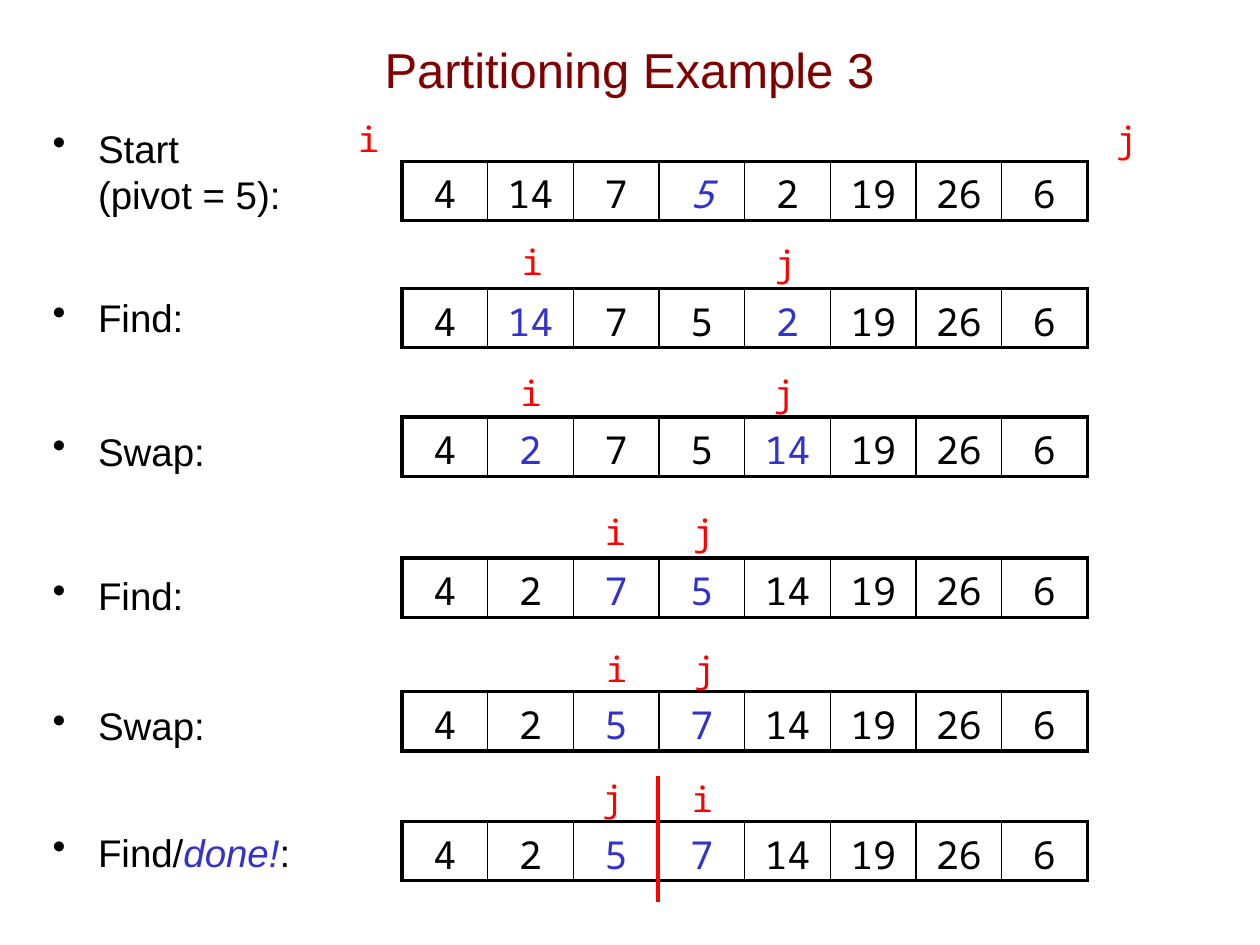
import lxml.etree
import pptx
import pptx.dml.color
import pptx.enum.shapes
import pptx.enum.text
import pptx.oxml.ns
import pptx.util

Inches, Pt = pptx.util.Inches, pptx.util.Pt
qn = pptx.oxml.ns.qn
CENTER = pptx.enum.text.PP_ALIGN.CENTER

COLORS = {"title": "800000", "text": "000000", "active": "3333CC", "index": "FF0000"}
SANS, MONO = "Arial", "Noto Sans Mono"


class PartitionSlide:
    """Style and drawing methods for the slide being built."""

    cell_width, row_height = 0.68, 0.47
    thick, thin = 2.25, 1

    def __init__(self, slide):
        self.slide = slide

    def style(self, font, size, color, name):
        font.size, font.name = Pt(size), name
        self.paint(font, color)

    def paint(self, font, color):
        font.color.rgb = pptx.dml.color.RGBColor.from_string(COLORS[color])

    def solid(self, parent, color):
        fill = lxml.etree.SubElement(parent, qn("a:solidFill"))
        lxml.etree.SubElement(fill, qn("a:srgbClr"), val=COLORS[color])

    def box(self, left, top, width, height, wrap=True):
        frame = self.slide.shapes.add_textbox(
            Inches(left), Inches(top), Inches(width), Inches(height)).text_frame
        frame.word_wrap = wrap
        return frame

    def title(self, text):
        frame = self.box(0.75, 0.08, 8.49, 0.93)
        frame.vertical_anchor = pptx.enum.text.MSO_ANCHOR.MIDDLE
        heading = frame.paragraphs[0]
        heading.text, heading.alignment = text, CENTER
        self.style(heading.font, 28, "title", SANS)

    def steps(self, items):
        """Bulleted steps; each item is (space before, [(text, color)])."""
        frame = self.box(0.32, 0.94, 9.54, 6.14)
        for number, (gap, pieces) in enumerate(items):
            step = frame.paragraphs[0] if number == 0 else frame.add_paragraph()
            props = step._p.get_or_add_pPr()
            props.set("marL", str(Inches(0.36)))
            props.set("indent", str(-Inches(0.36)))
            bullet_color = lxml.etree.SubElement(props, qn("a:buClr"))
            lxml.etree.SubElement(bullet_color, qn("a:srgbClr"), val=COLORS["text"])
            lxml.etree.SubElement(props, qn("a:buChar"), char="•")
            step.line_spacing = Pt(26.4)
            if gap:
                step.space_before = Pt(gap)
            self.style(step.font, 22, "text", SANS)
            for text, color in pieces:
                for index, line in enumerate(text.split("\n")):
                    if index:
                        step.add_line_break()
                    run = step.add_run()
                    run.text = line
                    if color == "active":
                        run.font.italic = True
                        self.paint(run.font, color)

    def border(self, cell, side, width):
        line = lxml.etree.SubElement(
            cell._tc.get_or_add_tcPr(), qn(f"a:ln{side}"), w=str(Pt(width)))
        self.solid(line, "text")

    def array(self, top, values, active, bottom_margin, italic):
        last = len(values) - 1
        table = self.slide.shapes.add_table(
            1, len(values), Inches(3.19), Inches(top),
            Inches(self.cell_width * len(values)), Inches(self.row_height)).table
        table.first_row = table.horz_banding = False
        for column, value in enumerate(values):
            table.columns[column].width = Inches(self.cell_width)
            cell = table.cell(0, column)
            cell.margin_bottom = Inches(bottom_margin)
            self.border(cell, "L", self.thick if column == 0 else self.thin)
            self.border(cell, "R", self.thick if column == last else self.thin)
            self.border(cell, "T", self.thick)
            self.border(cell, "B", self.thick)
            cell.fill.background()
            number = cell.text_frame.paragraphs[0]
            number.text, number.alignment = str(value), CENTER
            self.style(number.font, 22, "active" if column in active else "text", MONO)
            if italic and column in active:
                number.font.italic = True

    def index(self, name, left, top):
        frame = self.box(left, top, 0.37, 0.43, wrap=False)
        frame.auto_size = pptx.enum.text.MSO_AUTO_SIZE.SHAPE_TO_FIT_TEXT
        label = frame.paragraphs[0]
        label.text, label.alignment = name, CENTER
        self.style(label.font, 20, "index", MONO)

    def divider(self, x, top, bottom):
        split = self.slide.shapes.add_connector(
            pptx.enum.shapes.MSO_CONNECTOR.STRAIGHT,
            Inches(x), Inches(bottom), Inches(x), Inches(top))
        split.line.width = Pt(self.thick)
        self.paint(split.line, "index")
        lxml.etree.SubElement(split._element.spPr, qn("a:effectLst"))


STEPS = [
    (0, [("Start\n(pivot = 5):", "text")]),
    (44, [("Find:", "text")]),
    (50, [("Swap:", "text")]),
    (56, [("Find:", "text")]),
    (48, [("Swap:", "text")]),
    (46, [("Find/", "text"), ("done!", "active"), (":", "text")]),
]

# Array top, first five values, highlighted columns, bottom margin, i and j places
TAIL = [19, 26, 6]
STAGES = [
    (1.28, [4, 14, 7, 5, 2], {3}, 0.05, (2.74, 0.88), (8.76, 0.88)),
    (2.29, [4, 14, 7, 5, 2], {1, 4}, 0.05, (4.04, 1.86), (6.05, 1.87)),
    (3.31, [4, 2, 7, 5, 14], {1, 4}, 0, (4.03, 2.9), (6.04, 2.9)),
    (4.43, [4, 2, 7, 5, 14], {2, 3}, 0, (4.7, 4), (5.4, 4)),
    (5.49, [4, 2, 5, 7, 14], {2, 3}, 0, (4.71, 5.09), (5.41, 5.09)),
    (6.52, [4, 2, 5, 7, 14], {2, 3}, 0, (5.39, 6.12), (4.68, 6.11)),
]


def main():
    deck = pptx.Presentation()
    deck.slide_width, deck.slide_height = Inches(10), Inches(7.5)
    page = PartitionSlide(deck.slides.add_slide(deck.slide_layouts[6]))

    # Title and step names
    page.title("Partitioning Example 3")
    page.steps(STEPS)

    # Array at each step with its two indices; the lone pivot is italic
    for top, head, active, margin, i_place, j_place in STAGES:
        page.array(top, head + TAIL, active, margin, italic=len(active) == 1)
        page.index("i", *i_place)
        page.index("j", *j_place)

    # Final split between the partitions
    page.divider(5.22, 6.16, 7.16)
    deck.save("out.pptx")


if __name__ == "__main__":
    main()
